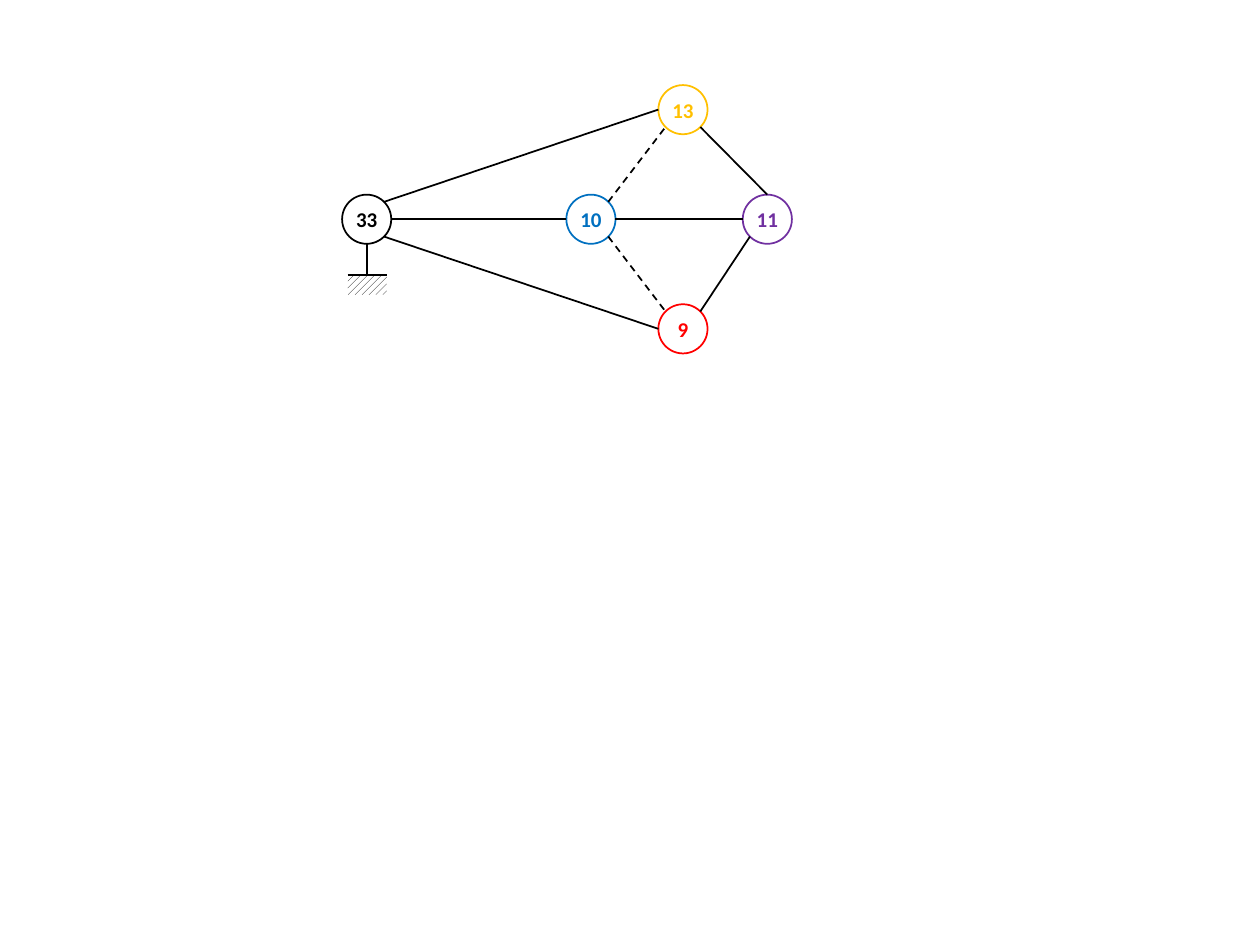
from math import cos, radians, sin

from lxml import etree
from pptx import Presentation
from pptx.dml.color import RGBColor
from pptx.enum.dml import MSO_LINE_DASH_STYLE as Dash, MSO_PATTERN_TYPE as Pattern
from pptx.enum.shapes import MSO_CONNECTOR_TYPE as Connector, MSO_SHAPE as Shape
from pptx.enum.text import MSO_ANCHOR as Anchor, PP_ALIGN as Align
from pptx.oxml.ns import qn
from pptx.util import Inches, Pt

DIAMETER = 0.39
BLACK = "000000"
MIDDLE_Y, ROW_GAP = 1.74, 0.87
GROUND_LEFT, GROUND_TOP, GROUND_WIDTH, GROUND_HEIGHT = 2.76, 2.18, 0.31, 0.16

NODES = {
    "33": (2.91, MIDDLE_Y, BLACK),
    "11": (6.09, MIDDLE_Y, "7030A0"),
    "9": (5.42, MIDDLE_Y + ROW_GAP, "FF0000"),
    "13": (5.42, MIDDLE_Y - ROW_GAP, "FFC000"),
    "10": (4.69, MIDDLE_Y, "0070C0"),
}
EDGES = [
    ("33", 45, "13", 180, None),
    ("10", 180, "33", 0, None),
    ("10", -45, "9", 135, Dash.DASH),
    ("10", 0, "11", 180, None),
    ("10", 45, "13", 225, Dash.DASH),
    ("33", -45, "9", 180, None),
    ("13", -45, "11", 90, None),
    ("11", 225, "9", 45, None),
]


def color(value):
    return RGBColor.from_string(value)


def set_format(target, values):
    for name, value in values.items():
        setattr(target, name, value)


def rim_point(label, angle):
    x, y, _ = NODES[label]
    radius = DIAMETER / 2
    return x + radius * cos(radians(angle)), y - radius * sin(radians(angle))


def add_node(shapes, label, x, y, hue):
    corner = [Inches(center - DIAMETER / 2) for center in (x, y)]
    node = shapes.add_shape(Shape.OVAL, *corner, Inches(DIAMETER), Inches(DIAMETER))
    node.shadow.inherit = False
    node.fill.background()
    node.line.color.rgb = color(hue)
    node.line.width = Pt(1)
    frame = node.text_frame
    margins = {f"margin_{side}": 0 for side in ("left", "top", "right", "bottom")}
    set_format(frame, {"vertical_anchor": Anchor.MIDDLE, "word_wrap": False, **margins})
    paragraph = frame.paragraphs[0]
    paragraph.alignment = Align.CENTER
    run = paragraph.add_run()
    run.text = label
    set_format(run.font, {"name": "Calibri", "size": Pt(12), "bold": True})
    run.font.color.rgb = color(hue)


def add_line(shapes, start, end, dash=None):
    points = [Inches(value) for value in (*start, *end)]
    line = shapes.add_connector(Connector.STRAIGHT, *points)
    line.line.color.rgb = color(BLACK)
    set_format(line.line, {"width": Pt(1), "dash_style": dash})
    etree.SubElement(line._element.spPr, qn("a:effectLst"))


def add_ground(shapes):
    ground = shapes.add_group_shape()
    box = (GROUND_LEFT, GROUND_TOP, GROUND_WIDTH, GROUND_HEIGHT)
    hatch = ground.shapes.add_shape(Shape.RECTANGLE, *map(Inches, box))
    hatch.shadow.inherit = False
    hatch.line.fill.background()
    hatch.fill.patterned()
    hatch.fill.pattern = Pattern.WIDE_UPWARD_DIAGONAL
    hatch.fill.fore_color.rgb = color(BLACK)
    hatch.fill.back_color.rgb = color("FFFFFF")
    right = GROUND_LEFT + GROUND_WIDTH
    add_line(ground.shapes, (GROUND_LEFT, GROUND_TOP), (right, GROUND_TOP))
    stem_top = rim_point("33", -90)
    add_line(shapes, stem_top, (stem_top[0], GROUND_TOP))


def main():
    presentation = Presentation()
    set_format(presentation, {"slide_width": Inches(10), "slide_height": Inches(7.5)})
    slide = presentation.slides.add_slide(presentation.slide_layouts[6])
    add_ground(slide.shapes)
    for label, (x, y, hue) in NODES.items():
        add_node(slide.shapes, label, x, y, hue)
    for start, start_angle, end, end_angle, dash in EDGES:
        add_line(slide.shapes, rim_point(start, start_angle), rim_point(end, end_angle), dash)
    presentation.save("out.pptx")


if __name__ == "__main__":
    main()
